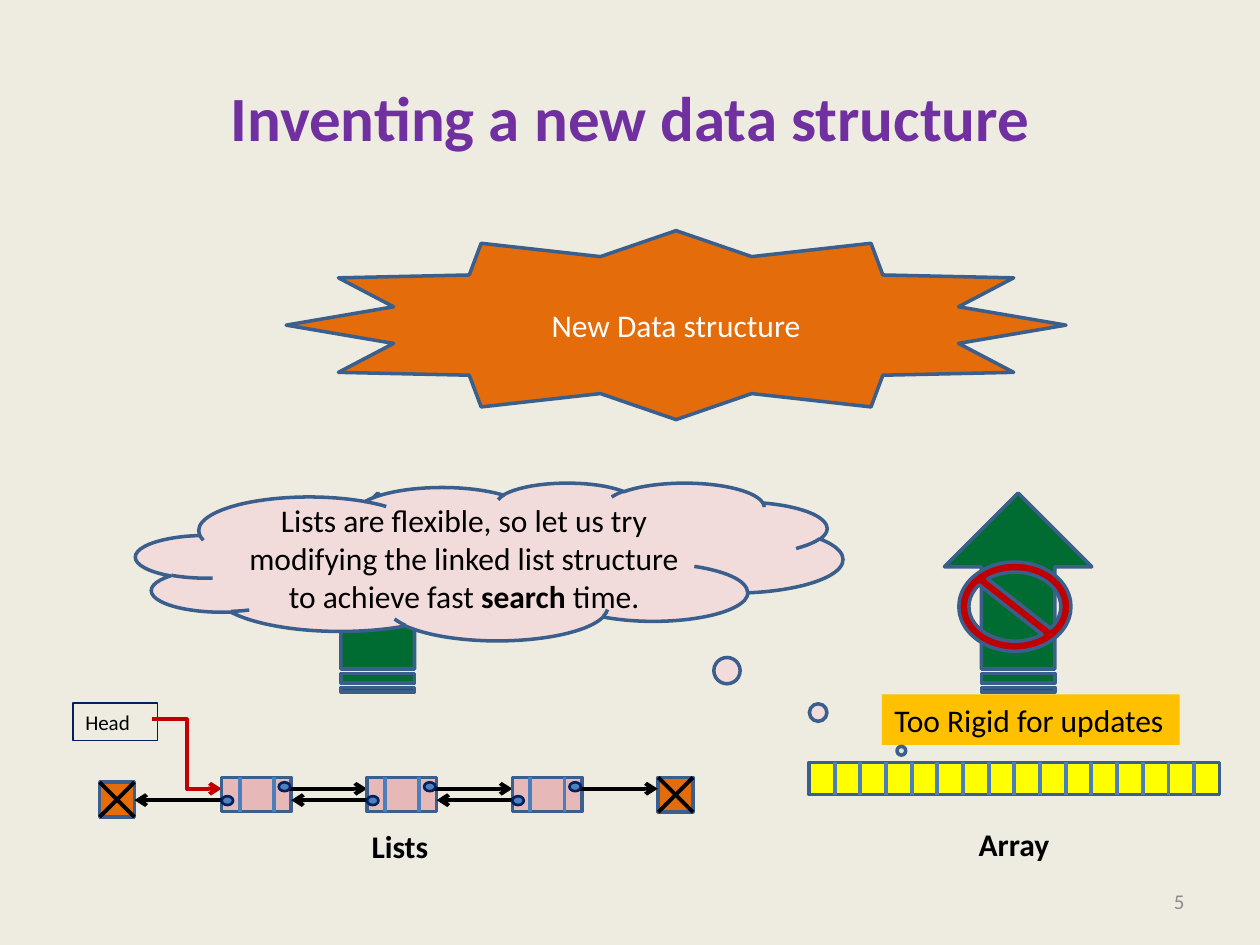
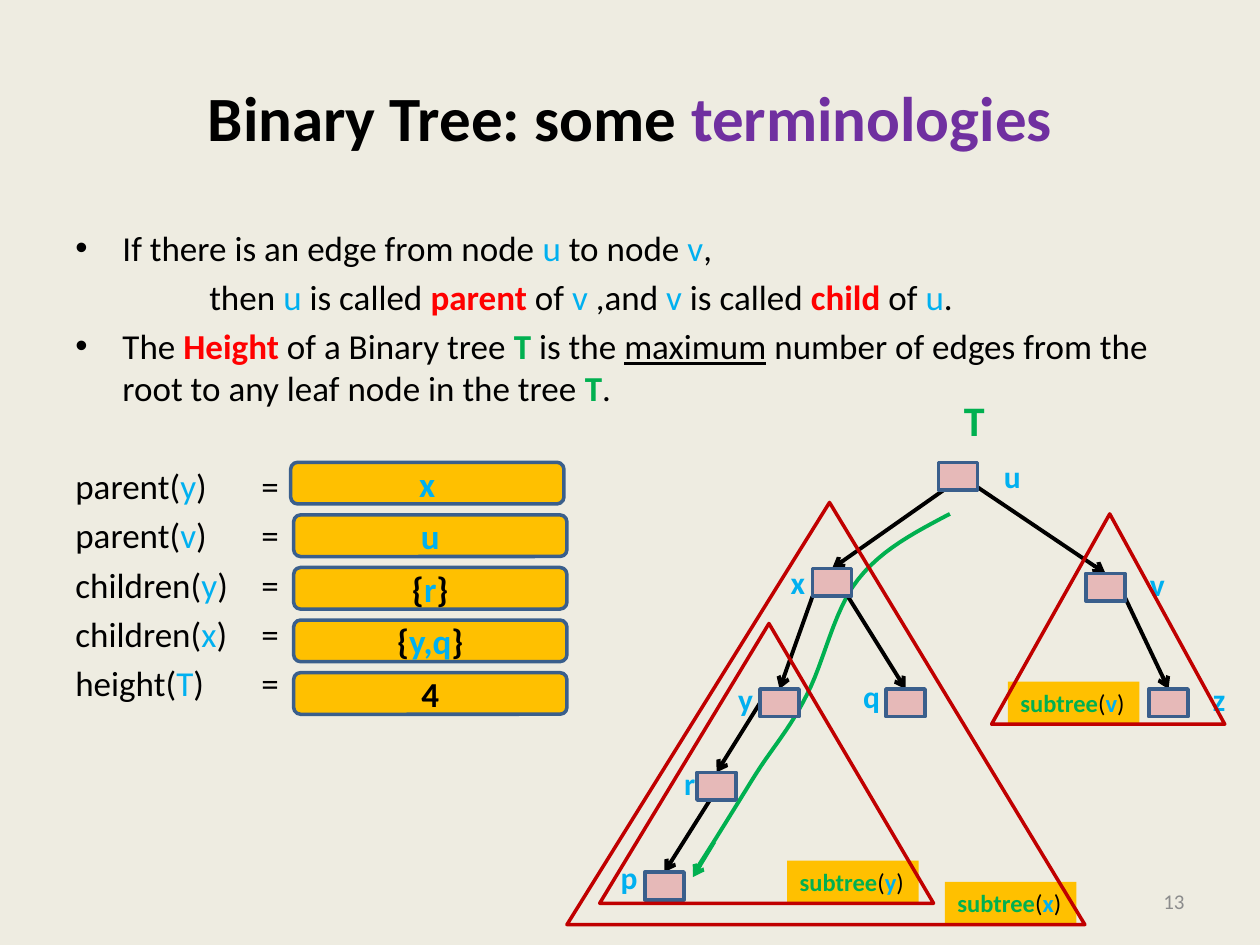
import pptx
import pptx.util
import pptx.dml.color
import pptx.enum.shapes
import pptx.enum.text
import pptx.oxml.ns
import lxml.etree

Cm, Pt = pptx.util.Cm, pptx.util.Pt
SHAPE = pptx.enum.shapes.MSO_SHAPE
LINK = pptx.enum.shapes.MSO_CONNECTOR
ALIGN = pptx.enum.text.PP_ALIGN
ANCHOR = pptx.enum.text.MSO_ANCHOR
qn = pptx.oxml.ns.qn

FONT = "Calibri"
COLORS = {
    "paper": "EEECE1", "purple": "7030A0", "black": "000000", "white": "FFFFFF",
    "gray": "8C8C8C", "edge": "3A5F8C", "bar": "4B7EBC", "dot": "4F81BD",
    "navy": "002060", "yellow": "FFFF00", "gold": "FFC000", "orange": "E46C0A",
    "pink": "E6B9B8", "blush": "F2DCDB", "forest": "006C31", "crimson": "C00000",
    "sky": "00B0F0", "red": "FF0000", "green": "00B050",
}
# Run styles: colour and bold
STYLES = {
    "node": ("sky", None), "name": ("sky", True), "term": ("red", True),
    "tree": ("green", True), "bold": (None, True), "mark": ("purple", None),
    "brace": ("black", None), "line": (None, None),
}


def rgb(name):
    return pptx.dml.color.RGBColor.from_string(COLORS[name])


def write(para, runs, size, color="black", bold=False, align=ALIGN.LEFT):
    """Fill a paragraph; each run is plain text or a (text, style) pair."""
    para.alignment = align
    font = para.font
    font.name, font.size, font.bold = FONT, Pt(size), bold
    font.color.rgb = rgb(color)
    for item in [runs] if isinstance(runs, str) else runs:
        text, style = (item, None) if isinstance(item, str) else item
        run = para.add_run()
        run.text = text
        if style:
            tint, heavy = STYLES[style]
            if tint:
                run.font.color.rgb = rgb(tint)
            if heavy:
                run.font.bold = True
            if style == "line":
                run.font.underline = True


def label(shape, runs, size, anchor=ANCHOR.TOP, wrap=False, **look):
    """Write one paragraph into a shape."""
    frame = shape.text_frame
    frame.word_wrap, frame.vertical_anchor = wrap, anchor
    write(frame.paragraphs[0], runs, size, **look)


def note(slide, box, runs, size, **look):
    """Add a text box with one paragraph."""
    label(slide.shapes.add_textbox(*map(Cm, box)), runs, size, **look)


def paint(shape, fill, line, width):
    shape.shadow.inherit = False
    if fill:
        shape.fill.solid()
        shape.fill.fore_color.rgb = rgb(fill)
    else:
        shape.fill.background()
    if line:
        shape.line.color.rgb = rgb(line)
        shape.line.width = Pt(width)
    else:
        shape.line.fill.background()


def draw(slide, kind, box, fill=None, line="edge", width=2, adjust=()):
    shape = slide.shapes.add_shape(kind, *map(Cm, box))
    paint(shape, fill, line, width)
    for i, value in enumerate(adjust):
        shape.adjustments[i] = value
    return shape


def link(slide, start, end, color="black", arrow=False, kind=LINK.STRAIGHT):
    line = slide.shapes.add_connector(kind, *map(Cm, (*start, *end)))
    line.line.color.rgb = rgb(color)
    line.line.width = Pt(2.25)
    props = line._element.spPr
    if arrow:
        lxml.etree.SubElement(props.find(qn("a:ln")), qn("a:tailEnd"), type="arrow")
    lxml.etree.SubElement(props, qn("a:effectLst"))


def page(deck, title, number, color="black"):
    """Add a slide with its title and page number."""
    slide = deck.slides.add_slide(deck.slide_layouts[5])
    head = slide.shapes.title
    head.left, head.top, head.width, head.height = map(Cm, (1.27, 0.76, 22.86, 3.18))
    label(head, title, 36, ANCHOR.MIDDLE, True, color=color, bold=True,
          align=ALIGN.CENTER)
    note(slide, (18.21, 17.65, 5.92, 1.02), number, 12, anchor=ANCHOR.MIDDLE,
         wrap=True, color="gray", align=ALIGN.RIGHT)
    return slide


# ---- New data structure ----

def array(slide, box, count=16):
    x, y, w, h = box
    draw(slide, SHAPE.RECTANGLE, box, "yellow")
    for i in range(1, count):
        left = x + i * w / count
        link(slide, (left, y), (left, y + h), "bar")
    note(slide, (x + 3.17, y + 1.14, 1.96, 1.02), "Array", 18, bold=True)


def stop(slide, x, y, size=0.7):
    """Crossed box that ends the list."""
    draw(slide, SHAPE.RECTANGLE, (x, y, size, size), "orange")
    link(slide, (x, y), (x + size, y + size))
    link(slide, (x + size, y), (x, y + size))


def cell(slide, x, y, back):
    """List node with a link each way; back is the length of the left one."""
    w, h = 1.4, 0.69
    draw(slide, SHAPE.RECTANGLE, (x, y, w, h), "pink")
    for bar in (0.36, 1.05):
        link(slide, (x + bar, y), (x + bar, y + h), "bar")
    link(slide, (x + 1.28, y + 0.23), (x + 2.93, y + 0.23), arrow=True)
    link(slide, (x + 0.1, y + 0.46), (x - back, y + 0.46), arrow=True)
    for dot in ((1.15, 0.1), (0, 0.38)):
        draw(slide, SHAPE.OVAL, (x + dot[0], y + dot[1], 0.23, 0.18),
             "dot", "navy", 1.5)


def chain(slide, box):
    """Doubly linked list with its head pointer."""
    x, y, w, h = box
    head = draw(slide, SHAPE.RECTANGLE, (x, y, 1.7, 0.76), None, "navy", 0.75)
    label(head, "Head", 12, wrap=True)
    link(slide, (x + 1.59, y + 0.33), (x + 3, y + 1.73), "crimson", True, LINK.ELBOW)
    stop(slide, x + 0.54, y + 1.6)
    stop(slide, x + w - 0.7, y + 1.5)
    for i in range(3):
        cell(slide, x + 3 + 2.93 * i, y + 1.5, 1.53 if i else 1.76)
    note(slide, (x + 5.77, y + h - 1.02, 1.65, 1.02), "Lists", 18, bold=True)


def rise(slide, box):
    """Striped arrow turned upwards."""
    draw(slide, SHAPE.STRIPED_RIGHT_ARROW, box, "forest").rotation = 270


def invent(deck):
    slide = page(deck, "Inventing a new data structure", "5", "purple")
    array(slide, (16.31, 15.37, 8.28, 0.65))
    chain(slide, (1.47, 14.17, 12.5, 3.39))
    for left in (18.52, 5.61):
        rise(slide, (left, 10.46, 4.01, 2.97))
    star = draw(slide, SHAPE.STAR_12_POINT, (5.77, 4.65, 15.72, 3.81), "orange")
    label(star, "New Data structure", 18, ANCHOR.MIDDLE, True, color="white",
          align=ALIGN.CENTER)
    draw(slide, SHAPE.NO_SYMBOL, (19.33, 11.33, 2.26, 1.8), "crimson", adjust=[0.113])
    rigid = draw(slide, SHAPE.RECTANGLE, (17.78, 14, 6, 1.02), "gold", None)
    label(rigid, "Too Rigid for updates", 18)
    cloud = draw(slide, SHAPE.CLOUD_CALLOUT, (2.74, 9.73, 14.25, 3.18), "blush",
                 adjust=[0.583, 1.2])
    label(cloud, ["Lists are flexible, so let us try modifying the linked list "
                  "structure to achieve fast ", ("search", "bold"), " time."],
          18, ANCHOR.MIDDLE, True, align=ALIGN.CENTER)


# ---- Binary tree ----

FACTS = [
    (True, ["If there is an edge from node ", ("u", "node"), " to node ",
            ("v", "node"), ","]),
    (False, ["then ", ("u", "node"), " is called ", ("parent", "term"), " of ",
             ("v", "node"), " ,and ", ("v", "node"), " is called ",
             ("child", "term"), " of ", ("u", "node"), "."]),
    (True, ["The ", ("Height", "term"), " of a Binary tree ", ("T", "tree"),
            " is the ", ("maximum", "line"), " number of edges from the root to "
            "any leaf node in the tree ", ("T", "tree"), "."]),
]
ASKS = [
    ("parent", "y", [("x", "node")]),
    ("parent", "v", [("u", "node")]),
    ("children", "y", ["{", ("r", "node"), "}"]),
    ("children", "x", ["{", ("y,q", "node"), "}"]),
    ("height", "T", ["4"]),
]
# Node corner, then shift of its label
NODES = {
    "u": (6.92, 1.82, 1.07, -0.23), "x": (4.38, 3.96, -0.69, -0.23),
    "v": (9.89, 4.06, 1.04, -0.3), "y": (3.32, 6.39, -0.69, -0.3),
    "q": (5.86, 6.39, -0.71, -0.36), "z": (11.16, 6.39, 1.04, -0.3),
    "r": (2.05, 8.07, -0.51, -0.3), "p": (1, 10.08, -0.74, -0.41),
}
# Parent, child, and where the edge leaves the parent as shares of its size
EDGES = [
    ("u", "v", 1, 0.9), ("u", "x", 0.13, 1), ("x", "y", 0, 1), ("x", "q", 0.9, 1),
    ("v", "z", 1, 0.87), ("y", "r", 0, 0.5), ("r", "p", 0.33, 1),
]
# Bezier points of the longest way down
ROUTE = [
    (7.15, 2.86), (6.47, 3.22), (5.78, 3.57), (5.3, 4.18), (4.81, 4.79),
    (4.61, 5.86), (4.26, 6.52), (3.93, 7.18), (3.62, 7.51), (3.24, 8.1),
    (2.86, 8.71), (2.43, 9.42), (2, 10.08),
]


def facts(slide, box):
    frame = slide.shapes.add_textbox(*map(Cm, box)).text_frame
    frame.word_wrap = True
    rows = [("bullet" if dotted else "then", runs) for dotted, runs in FACTS]
    rows += [("ask", [f"{verb}(", (arg, "node"), ")\t="]) for verb, arg, _ in ASKS]
    for i, (kind, runs) in enumerate(rows):
        para = frame.add_paragraph() if i else frame.paragraphs[0]
        props = para._p.get_or_add_pPr()
        if kind == "bullet":
            props.set("marL", str(Cm(0.95)))
            props.set("indent", str(-Cm(0.95)))
            lxml.etree.SubElement(props, qn("a:buFont"), typeface="Arial")
            lxml.etree.SubElement(props, qn("a:buChar"), char="•")
        elif kind == "then":
            props.set("marL", str(Cm(2.7)))
        else:
            tabs = lxml.etree.SubElement(props, qn("a:tabLst"))
            lxml.etree.SubElement(tabs, qn("a:tab"), pos=str(Cm(3.75)), algn="l")
        if i:
            para.space_before = Pt(32 if i == len(FACTS) else 4)
        write(para, runs, 20)


def answers(slide, box, step=1.06):
    x, y, w, h = box
    for i, (_, _, runs) in enumerate(ASKS):
        left = x if i else x - 0.06
        plate = draw(slide, SHAPE.ROUNDED_RECTANGLE, (left, y + i * step, w, h), "gold")
        label(plate, runs, 20, ANCHOR.MIDDLE, True, bold=True, align=ALIGN.CENTER)


def bend(points, steps=12):
    """Sample a chain of cubic Bezier curves."""
    yield points[0]
    for i in range(0, len(points) - 1, 3):
        a, b, c, d = points[i:i + 4]
        for k in range(1, steps + 1):
            t = k / steps
            s = 1 - t
            yield tuple(s**3 * a[j] + 3 * s * s * t * b[j] + 3 * s * t * t * c[j]
                        + t**3 * d[j] for j in (0, 1))


def route(slide, x, y):
    first, *rest = [(Cm(x + a), Cm(y + b)) for a, b in bend(ROUTE)]
    pen = slide.shapes.build_freeform(*first)
    pen.add_line_segments(rest, close=False)
    paint(pen.convert_to_shape(), None, "green", 2.25)
    link(slide, (x + 2.4, y + 9.47), (x + 1.97, y + 10.18), "green", True)


def tree(slide, x, y):
    w, h = 0.79, 0.56
    route(slide, x, y)
    for top, low, across, down in EDGES:
        a, b = NODES[top], NODES[low]
        link(slide, (x + a[0] + across * w, y + a[1] + down * h),
             (x + b[0] + w / 2, y + b[1]), arrow=True)
    for name, (left, top, dx, dy) in NODES.items():
        draw(slide, SHAPE.RECTANGLE, (x + left, y + top, w, h), "pink")
        note(slide, (x + left + dx, y + top + dy, 0.83, 1.02), name, 18,
             color="sky", bold=True)
    note(slide, (x + 7.18, y + 0.32, 0.94, 1.27), "T", 24, color="green", bold=True)


def subtree(slide, box, name, shift):
    """Triangle round a subtree, with a tag on its base."""
    x, y, w, h = box
    tag = draw(slide, SHAPE.RECTANGLE, (x + shift, y + h - 0.86, 2.65, 0.86),
               "gold", None)
    label(tag, [("subtree", "tree"), "(", (name, "name"), ")"], 14)
    draw(slide, SHAPE.ISOSCELES_TRIANGLE, box, None, "crimson", adjust=[0.507])


def terms(deck):
    slide = page(deck, ["Binary Tree: some ", ("terminologies", "mark")], "13")
    facts(slide, (1.27, 4.45, 22.86, 12.57))
    tree(slide, 12, 7.5)
    answers(slide, (5.92, 9.32, 5.51, 0.84))
    subtree(slide, (11.43, 10.13, 10.44, 8.51), "x", 7.62)
    subtree(slide, (12.09, 12.57, 6.73, 5.64), "y", 3.78)
    subtree(slide, (19.99, 10.36, 4.7, 4.24), "v", 0.33)


def main():
    deck = pptx.Presentation()
    deck.slide_width, deck.slide_height = Cm(25.4), Cm(19.05)
    back = deck.slide_master.background.fill
    back.solid()
    back.fore_color.rgb = rgb("paper")
    invent(deck)
    terms(deck)
    deck.save("out.pptx")


if __name__ == "__main__":
    main()
